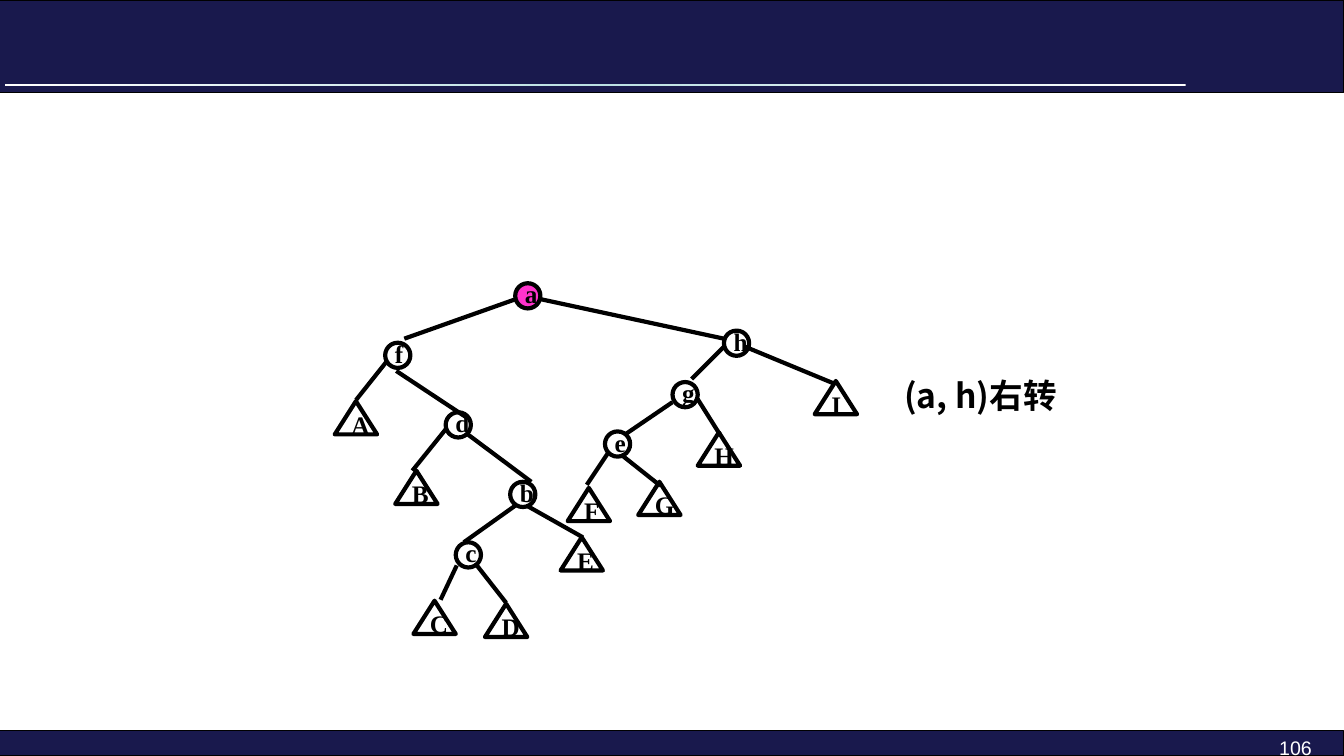
from copy import deepcopy
from dataclasses import dataclass

from lxml.etree import SubElement
from pptx import Presentation
from pptx.dml.color import RGBColor
from pptx.enum.shapes import MSO_CONNECTOR as Connector, MSO_SHAPE as Preset
from pptx.enum.text import MSO_ANCHOR as Anchor, MSO_AUTO_SIZE as AutoSize, PP_ALIGN as Align
from pptx.oxml.ns import qn
from pptx.util import Inches, Pt


@dataclass(frozen=True)
class Theme:
    navy: RGBColor = RGBColor(0x19, 0x19, 0x4D)
    ice: RGBColor = RGBColor(0xBB, 0xE0, 0xE3)
    pink: RGBColor = RGBColor(0xFF, 0x33, 0xCC)
    black: RGBColor = RGBColor(0, 0, 0)
    white: RGBColor = RGBColor(0xFF, 0xFF, 0xFF)
    node_font: str = "Times New Roman"
    label_font: str = "Noto Sans CJK SC"
    number_font: str = "Arial"
    node_size: int = 18
    label_size: int = 24
    number_size: int = 14


THEME = Theme()
SLIDE_WIDTH, SLIDE_HEIGHT = 13.33, 7.5
CIRCLE_SIZE = (0.25, 0.25)
TRIANGLE_SIZE = (0.42, 0.33)

INNER_NODES = {
    "h": (4.18, 1.28), "g": (3.67, 1.79), "f": (0.82, 1.4), "e": (3, 2.28),
    "d": (1.42, 2.09), "c": (1.52, 3.38), "b": (2.06, 2.78), "a": (2.11, 0.81),
}
SUBTREES = {
    "A": (0.32, 1.98), "B": (0.92, 2.67), "C": (1.1, 3.96),
    "D": (1.81, 3.99), "E": (2.56, 3.33), "F": (2.63, 2.84),
    "G": (3.33, 2.78), "H": (3.92, 2.29), "I": (5.08, 1.78),
}
EDGES = {
    "ah": (2.37, 0.97, 4.18, 1.36), "af": (2.11, 0.97, 1.01, 1.36),
    "fA": (0.84, 1.58, 0.53, 1.97), "fd": (0.93, 1.68, 1.64, 2.15),
    "dB": (1.42, 2.26, 1.09, 2.67), "db": (1.64, 2.31, 2.27, 2.78),
    "bc": (2.12, 3.01, 1.6, 3.38), "bE": (2.23, 3.02, 2.78, 3.33),
    "cC": (1.53, 3.61, 1.37, 3.95), "cD": (1.73, 3.61, 2.02, 3.98),
    "hg": (4.18, 1.44, 3.86, 1.76), "hI": (4.39, 1.44, 5.26, 1.8),
    "ge": (3.67, 1.99, 3.2, 2.31), "gH": (3.92, 1.96, 4.14, 2.31),
    "eF": (3.04, 2.48, 2.82, 2.81), "eG": (3.16, 2.51, 3.55, 2.82),
}


def inches(*lengths):
    return [Inches(length) for length in lengths]


def set_attributes(target, values):
    for name, value in values.items():
        setattr(target, name, value)


def write_text(shape, text, frame_format, font_format, color, alignment=Align.LEFT):
    set_attributes(shape.text_frame, frame_format)
    paragraph = shape.text_frame.paragraphs[0]
    paragraph.alignment = alignment
    run = paragraph.add_run()
    run.text = text
    set_attributes(run.font, font_format)
    run.font.color.rgb = color
    return run


def add_outlined(slide, preset, box, fill, line_width):
    shape = slide.shapes.add_shape(preset, *inches(*box))
    shape.shadow.inherit = False
    if fill is None:
        shape.fill.background()
    else:
        shape.fill.solid()
        shape.fill.fore_color.rgb = fill
    shape.line.color.rgb = THEME.black
    shape.line.width = Pt(line_width)
    return shape


def add_header(slide, left, top, width, height):
    add_outlined(slide, Preset.RECTANGLE, (left, top, width, height), THEME.navy, 0.75)
    start, end, upper, lower = inches(left + 0.05, left + 11.76, top + 0.83, top + 0.85)
    builder = slide.shapes.build_freeform(end, upper)
    builder.add_line_segments([(start, upper), (start, lower), (end, lower)], close=True)
    rule = builder.convert_to_shape()
    rule.shadow.inherit = False
    rule.line.fill.background()
    rule.fill.gradient()
    rule.fill.gradient_angle = 0
    stop_list = rule._element.spPr.find(qn("a:gradFill")).find(qn("a:gsLst"))
    stop_list.insert(1, deepcopy(stop_list[0]))
    colors = (THEME.white, THEME.ice, THEME.white)
    for stop, position, color in zip(rule.fill.gradient_stops, (0, 0.5, 1), colors):
        stop.position = position
        stop.color.rgb = color


def add_footer(slide, left, top, width, height):
    add_outlined(slide, Preset.RECTANGLE, (left, top, width, height), THEME.navy, 0.75)
    number = slide.shapes.add_textbox(*inches(left + width - 2.22, top, 2, height))
    font_format = {"name": THEME.number_font, "size": Pt(THEME.number_size)}
    write_text(number, "106", {"word_wrap": True}, font_format, THEME.white, Align.RIGHT)


def add_node(slide, preset, name, box):
    fill = THEME.pink if name == "a" else None
    shape = add_outlined(slide, preset, box, fill, 3)
    frame_format = {
        "margin_left": Inches(0.06), "margin_top": Inches(0.01),
        "margin_right": Inches(0.1), "margin_bottom": Inches(0.05),
        "vertical_anchor": Anchor.MIDDLE, "word_wrap": False,
    }
    font_format = {"name": THEME.node_font, "size": Pt(THEME.node_size), "bold": True}
    write_text(shape, name, frame_format, font_format, THEME.black)


def add_tree(slide, left, top):
    groups = (
        (Preset.OVAL, CIRCLE_SIZE, INNER_NODES),
        (Preset.ISOSCELES_TRIANGLE, TRIANGLE_SIZE, SUBTREES),
    )
    for preset, size, nodes in groups:
        for name, (x, y) in nodes.items():
            add_node(slide, preset, name, (left + x, top + y, *size))
    for x1, y1, x2, y2 in EDGES.values():
        ends = inches(left + x1, top + y1, left + x2, top + y2)
        edge = slide.shapes.add_connector(Connector.STRAIGHT, *ends)
        edge.line.color.rgb = THEME.black
        edge.line.width = Pt(3)
        SubElement(edge._element.spPr, qn("a:effectLst"))


def add_rotation_label(slide, left, top, width, height):
    label = slide.shapes.add_textbox(*inches(left, top, width, height))
    frame_format = {"word_wrap": True, "auto_size": AutoSize.SHAPE_TO_FIT_TEXT}
    font_format = {"name": THEME.label_font, "size": Pt(THEME.label_size), "bold": True}
    run = write_text(label, "(a, h)右转", frame_format, font_format, THEME.black)
    SubElement(run.font._element, qn("a:ea"), typeface=THEME.label_font)


def main():
    presentation = Presentation()
    presentation.slide_width, presentation.slide_height = inches(SLIDE_WIDTH, SLIDE_HEIGHT)
    slide = presentation.slides.add_slide(presentation.slide_layouts[6])
    slide.background.fill.solid()
    slide.background.fill.fore_color.rgb = THEME.white
    add_footer(slide, 0, 7.25, SLIDE_WIDTH, 0.25)
    add_header(slide, 0, 0, SLIDE_WIDTH, 0.92)
    add_tree(slide, 3, 2)
    add_rotation_label(slide, 8.87, 3.67, 2.2, 0.51)
    presentation.save("out.pptx")


if __name__ == "__main__":
    main()
